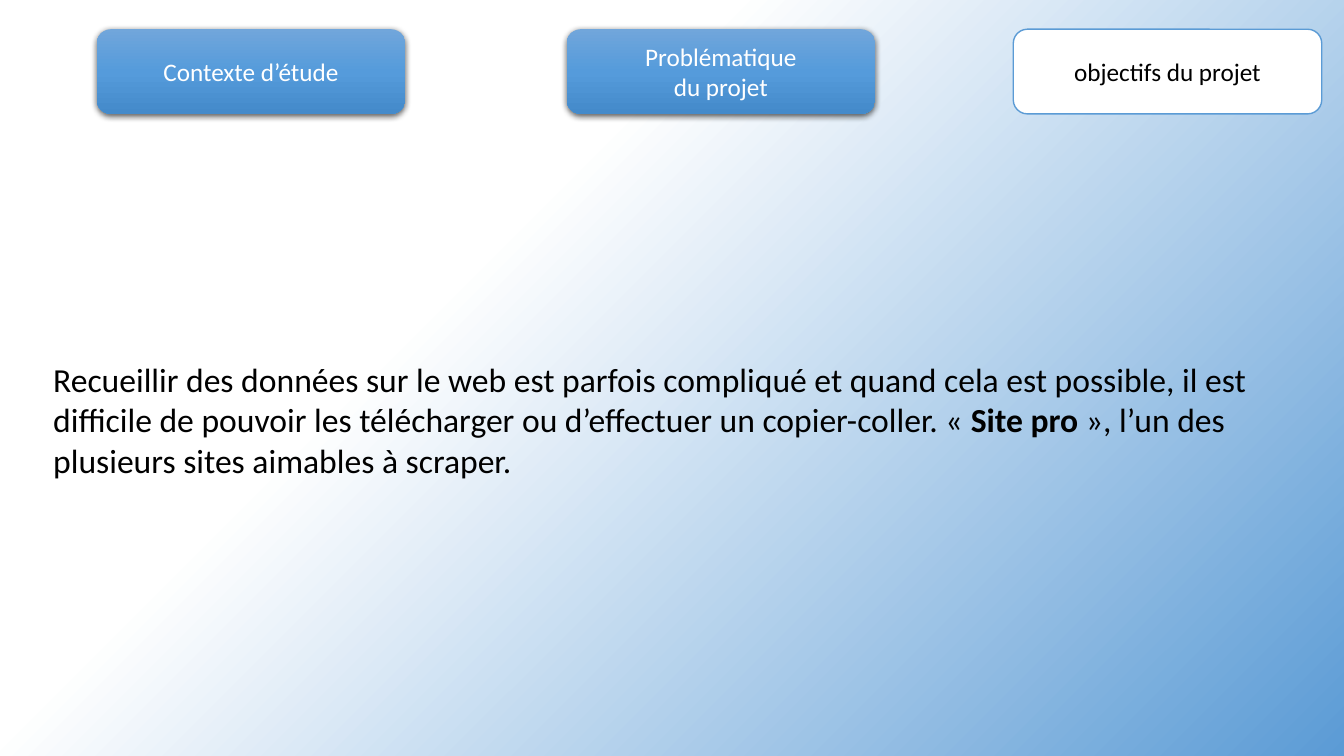
from lxml import etree
from pptx import Presentation
from pptx import util as u
from pptx.dml.color import RGBColor
from pptx.enum import shapes, text
from pptx.oxml.ns import qn

WHITE = RGBColor(0xFF, 0xFF, 0xFF)
BLACK = RGBColor(0x00, 0x00, 0x00)
BLUE = RGBColor(0x5B, 0x9B, 0xD5)
TAB_TOP = RGBColor(0x71, 0xA6, 0xDB)
TAB_MIDDLE = RGBColor(0x55, 0x9B, 0xDB)
TAB_BOTTOM = RGBColor(0x44, 0x8A, 0xCA)


def add_text(p, content, size=18, color=BLACK, bold=False, font="Calibri"):
    r = p.add_run()
    r.text = content
    r.font.name = font
    r.font.size = u.Pt(size)
    r.font.bold = bold
    r.font.color.rgb = color


def set_gradient(owner, fill, stops, angle):
    """Fill with (percent, colour) stops; the angle runs clockwise."""
    fill.gradient()
    fill.gradient_angle = 360 - angle
    stop_list = owner.element.find(".//" + qn("a:gsLst"))
    for old in list(stop_list):
        stop_list.remove(old)
    for percent, color in stops:
        gs = etree.SubElement(stop_list, qn("a:gs"), pos=str(percent * 1000))
        etree.SubElement(gs, qn("a:srgbClr"), val=str(color))


def add_shadow(sp):
    effects = sp.element.spPr.find(qn("a:effectLst"))
    shadow = etree.SubElement(
        effects, qn("a:outerShdw"), blurRad=str(u.Pt(4.5)),
        dist=str(u.Pt(1.5)), dir="5400000", algn="ctr", rotWithShape="0")
    color = etree.SubElement(shadow, qn("a:srgbClr"), val=str(BLACK))
    etree.SubElement(color, qn("a:alpha"), val="63000")


class Deck:
    tab_top, tab_width, tab_height = 0.29, 3.06, 0.84

    def __init__(self):
        self.prs = Presentation()
        self.prs.slide_width = u.Inches(13.33)
        self.prs.slide_height = u.Inches(7.5)
        self.s = self.prs.slides.add_slide(self.prs.slide_layouts[6])

    def background(self, stops, angle):
        set_gradient(self.s, self.s.background.fill, stops, angle)

    def tab(self, left, lines, current=False):
        sp = self.s.shapes.add_shape(
            shapes.MSO_SHAPE.ROUNDED_RECTANGLE, u.Inches(left),
            u.Inches(self.tab_top), u.Inches(self.tab_width),
            u.Inches(self.tab_height))
        sp.shadow.inherit = False
        if current:
            sp.fill.solid()
            sp.fill.fore_color.rgb = WHITE
            sp.line.color.rgb = BLUE
            sp.line.width = u.Pt(1)
        else:
            stops = [(0, TAB_TOP), (50, TAB_MIDDLE), (100, TAB_BOTTOM)]
            set_gradient(sp, sp.fill, stops, 90)
            sp.line.fill.background()
            add_shadow(sp)
        tf = sp.text_frame
        tf.vertical_anchor = text.MSO_ANCHOR.MIDDLE
        for i, line in enumerate(lines):
            p = tf.add_paragraph() if i else tf.paragraphs[0]
            p.alignment = text.PP_ALIGN.CENTER
            add_text(p, line, color=BLACK if current else WHITE)

    def paragraph(self, left, top, width, height, runs):
        sp = self.s.shapes.add_textbox(
            u.Inches(left), u.Inches(top), u.Inches(width), u.Inches(height))
        tf = sp.text_frame
        tf.word_wrap = True
        for content, bold in runs:
            add_text(tf.paragraphs[0], content, size=24, bold=bold)


def main():
    deck = Deck()
    deck.background([(0, WHITE), (35, WHITE), (100, BLUE)], 45)

    # Navigation tabs
    deck.tab(0.96, ["Contexte d’étude"])
    deck.tab(5.62, ["Problématique", "du projet"])
    deck.tab(10.05, ["objectifs du projet"], current=True)

    # Body text
    deck.paragraph(0.43, 3.51, 12.57, 1.85, [
        ("Recueillir des données sur le web est parfois compliqué et quand "
         "cela est possible, il est difficile de pouvoir les télécharger ou "
         "d’effectuer un copier-coller. « ", False),
        ("Site pro ", True),
        ("», l’un des plusieurs sites aimables à scraper.", False),
    ])

    deck.prs.save("out.pptx")


if __name__ == "__main__":
    main()
